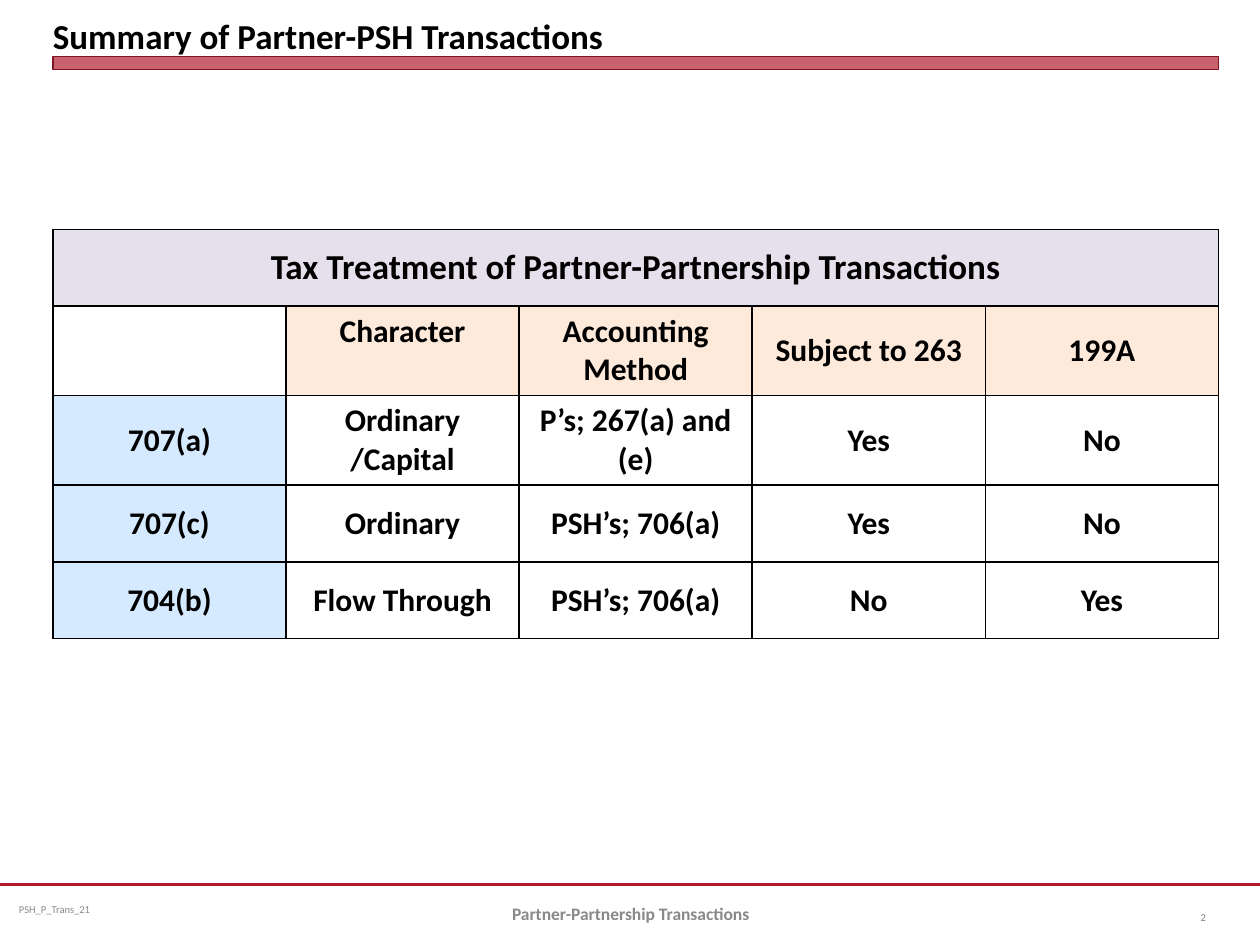
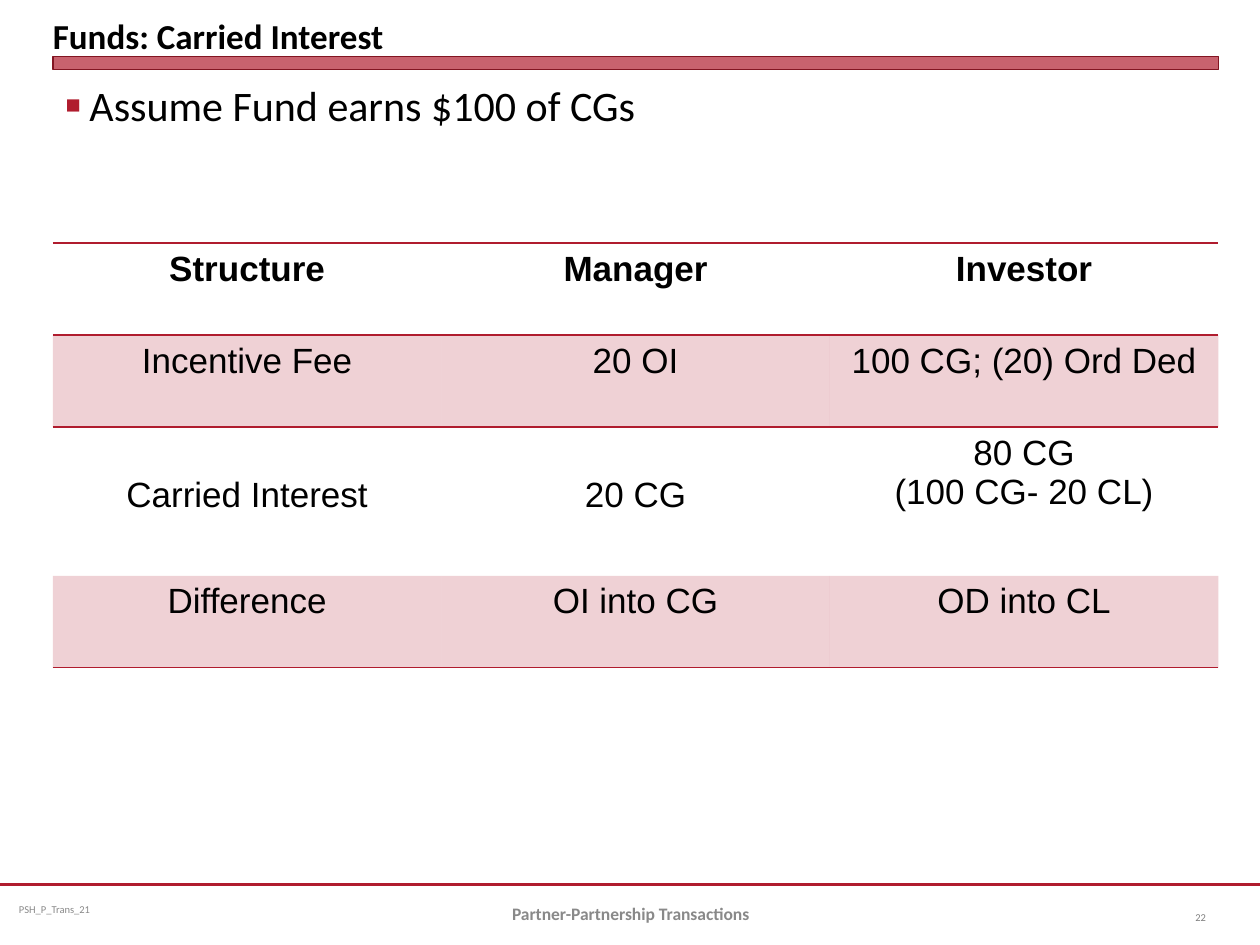
import pptx
import pptx.dml.color
import pptx.enum.shapes
import pptx.enum.text
import pptx.oxml
import pptx.oxml.ns
import pptx.util
from lxml import etree

Inches, Pt = pptx.util.Inches, pptx.util.Pt
RGBColor = pptx.dml.color.RGBColor
ALIGN = pptx.enum.text.PP_ALIGN
ANCHOR = pptx.enum.text.MSO_ANCHOR
qn = pptx.oxml.ns.qn

RED = RGBColor(0xB0, 0x1C, 0x2E)
DARK_RED = RGBColor(0x82, 0x15, 0x22)
BLACK = RGBColor(0, 0, 0)
FOOTER_GREY = RGBColor(0x89, 0x89, 0x89)
NUMBER_GREY = RGBColor(0x80, 0x80, 0x80)
LAVENDER = RGBColor(0xE6, 0xE0, 0xEC)
PEACH = RGBColor(0xFD, 0xEA, 0xDA)
SKY = RGBColor(0xD6, 0xEA, 0xFF)

LEFT, WIDTH = 0.42, 9.25
PLAIN_STYLE = "{2D5ABB26-0587-4C30-8999-92F81FD0307C}"
TITLE_ONLY, TITLE_AND_BODY = 5, 1


def write(tf, text, size=18, font="Calibri", color=BLACK, bold=False,
          align=ALIGN.LEFT, anchor=None):
    """Fill a text frame, one paragraph for each line of text."""
    tf.text = text
    tf.word_wrap = True
    if anchor is not None:
        tf.vertical_anchor = anchor
    for p in tf.paragraphs:
        p.alignment = align
        for r in p.runs:
            r.font.name, r.font.size, r.font.bold = font, Pt(size), bold
            r.font.color.rgb = color


def fill_solid(fill, color):
    fill.solid()
    fill.fore_color.rgb = color


def set_alpha(element, percent):
    """Make the first colour found in the element transparent."""
    color = next(element.iter(qn("a:srgbClr")))
    etree.SubElement(color, qn("a:alpha"), val=str(percent * 1000))


def add_borders(cell, sides, color, width=1):
    """Sides are letters from LRTB, given in that order."""
    tcPr = cell._tc.get_or_add_tcPr()
    for side in sides:
        ln = etree.SubElement(tcPr, qn("a:ln" + side), w=str(Pt(width)))
        fill = etree.SubElement(ln, qn("a:solidFill"))
        etree.SubElement(fill, qn("a:srgbClr"), val=str(color))


def place(shape, x, y, w, h):
    shape.left, shape.top = Inches(x), Inches(y)
    shape.width, shape.height = Inches(w), Inches(h)


class Deck:
    def __init__(self):
        self.prs = pptx.Presentation()
        self.prs.slide_width, self.prs.slide_height = Inches(10), Inches(7.5)
        self.s = None

    def slide(self, title, number, layout=TITLE_ONLY):
        self.s = self.prs.slides.add_slide(self.prs.slide_layouts[layout])
        self.footer(number)
        self.title(title)

    def title(self, text):
        sp = self.s.shapes.title
        place(sp, LEFT, 0.05, WIDTH, 0.4)
        tf = sp.text_frame
        write(tf, text, size=20, bold=True, anchor=ANCHOR.BOTTOM)
        tf.auto_size = pptx.enum.text.MSO_AUTO_SIZE.NONE
        tf.margin_left = tf.margin_right = tf.margin_top = tf.margin_bottom = 0
        bar = self.s.shapes.add_shape(
            pptx.enum.shapes.MSO_SHAPE.RECTANGLE,
            Inches(LEFT), Inches(0.45), Inches(WIDTH), Inches(0.1))
        bar.shadow.inherit = False
        fill_solid(bar.fill, RED)
        set_alpha(bar._element.spPr, 69)
        bar.line.color.rgb = DARK_RED
        bar.line.width = Pt(0)

    def footer(self, number):
        rule = self.s.shapes.add_connector(
            pptx.enum.shapes.MSO_CONNECTOR.STRAIGHT,
            0, Inches(7.02), Inches(10), Inches(7.02))
        rule.line.color.rgb = RED
        rule.line.width = Pt(1.25)
        etree.SubElement(rule._element.spPr, qn("a:effectLst"))
        code = self.text("PSH_P_Trans_21", 0.08, 7.02, 2.58,
                         size=6, color=FOOTER_GREY)
        code.margin_left = code.margin_right = Inches(0.07)
        self.text("Partner-Partnership Transactions", 3.42, 7.05, 3.17,
                  size=10, color=FOOTER_GREY, bold=True, align=ALIGN.CENTER)
        self.text(number, 9.17, 7.08, 0.5,
                  size=6, color=NUMBER_GREY, align=ALIGN.RIGHT)

    def text(self, text, x, y, w, h=0.4, **style):
        sp = self.s.shapes.add_textbox(
            Inches(x), Inches(y), Inches(w), Inches(h))
        write(sp.text_frame, text, anchor=ANCHOR.MIDDLE, **style)
        return sp.text_frame

    def bullets(self, text):
        sp = self.s.placeholders[1]
        place(sp, LEFT, 0.58, WIDTH, 6.36)
        write(sp.text_frame, text, size=24, align=ALIGN.JUSTIFY)
        for p in sp.text_frame.paragraphs:
            pPr = p._p.get_or_add_pPr()
            pPr.set("marL", str(Inches(0.19)))
            pPr.set("indent", str(-Inches(0.19)))
            color = etree.SubElement(pPr, qn("a:buClr"))
            etree.SubElement(color, qn("a:srgbClr"), val=str(RED))
            etree.SubElement(pPr, qn("a:buSzPct"), val="60000")
            etree.SubElement(pPr, qn("a:buFont"), typeface="Arial")
            etree.SubElement(pPr, qn("a:buChar"), char="■")

    def table(self, rows, y, heights, style_cell):
        """Add equal columns; style_cell(cell, row, column, text) fills each."""
        cols = len(rows[-1])
        frame = self.s.shapes.add_table(
            len(rows), cols, Inches(LEFT), Inches(y),
            Inches(WIDTH), Inches(sum(heights)))
        tbl = frame.table
        tbl.first_row = tbl.horz_banding = False
        next(tbl._tbl.iter(qn("a:tableStyleId"))).text = PLAIN_STYLE
        for i, (row, height) in enumerate(zip(rows, heights)):
            tbl.rows[i].height = Inches(height)
            for j in range(cols):
                cell = tbl.cell(i, j)
                style_cell(cell, i, j, row[j] if j < len(row) else "")
            if len(row) == 1:
                tbl.cell(i, 0).merge(tbl.cell(i, cols - 1))


def style_treatment(cell, i, j, text):
    write(cell.text_frame, text, size=20 if i == 0 else 18, bold=True,
          align=ALIGN.CENTER)
    top = i == 1 and j in (1, 2)
    cell.vertical_anchor = ANCHOR.TOP if top else ANCHOR.MIDDLE
    add_borders(cell, "LRTB", BLACK)
    if i == 0:
        fill_solid(cell.fill, LAVENDER)
    elif i == 1 and j > 0:
        fill_solid(cell.fill, PEACH)
    elif i > 1 and j == 0:
        fill_solid(cell.fill, SKY)
    else:
        cell.fill.background()


def style_carry(cell, i, j, text):
    write(cell.text_frame, text, size=20, font="Arial", bold=i == 0,
          align=ALIGN.CENTER)
    if i == 2 and j < 2:
        cell.margin_top = Inches(0.39)
    add_borders(cell, {0: "TB", 1: "T", 3: "B"}.get(i, ""), RED)
    if i % 2:
        fill_solid(cell.fill, RED)
        set_alpha(cell._tc.tcPr.find(qn("a:solidFill")), 20)
    else:
        cell.fill.background()


def main():
    deck = Deck()

    deck.slide("Summary of Partner-PSH Transactions", "2")
    treatment = [
        ["Tax Treatment of Partner-Partnership Transactions"],
        ["", "Character", "Accounting Method", "Subject to 263", "199A"],
        ["707(a)", "Ordinary /Capital", "P’s; 267(a) and (e)", "Yes", "No"],
        ["707(c)", "Ordinary", "PSH’s; 706(a)", "Yes", "No"],
        ["704(b)", "Flow Through", "PSH’s; 706(a)", "No", "Yes"],
    ]
    deck.table(treatment, 1.82, [0.61, 0.71, 0.71, 0.61, 0.61],
               style_treatment)

    deck.slide("Funds: Carried Interest", "22", TITLE_AND_BODY)
    deck.bullets("Assume Fund earns $100 of CGs")
    carry = [
        ["Structure", "Manager", "Investor"],
        ["Incentive Fee", "20 OI", "100 CG; (20) Ord Ded"],
        ["Carried Interest", "20 CG", "80 CG\n(100 CG- 20 CL)"],
        ["Difference", "OI into CG", "OD into CL"],
    ]
    deck.table(carry, 1.93, [0.73, 0.73, 1.18, 0.73], style_carry)

    deck.prs.save("out.pptx")


if __name__ == "__main__":
    main()
